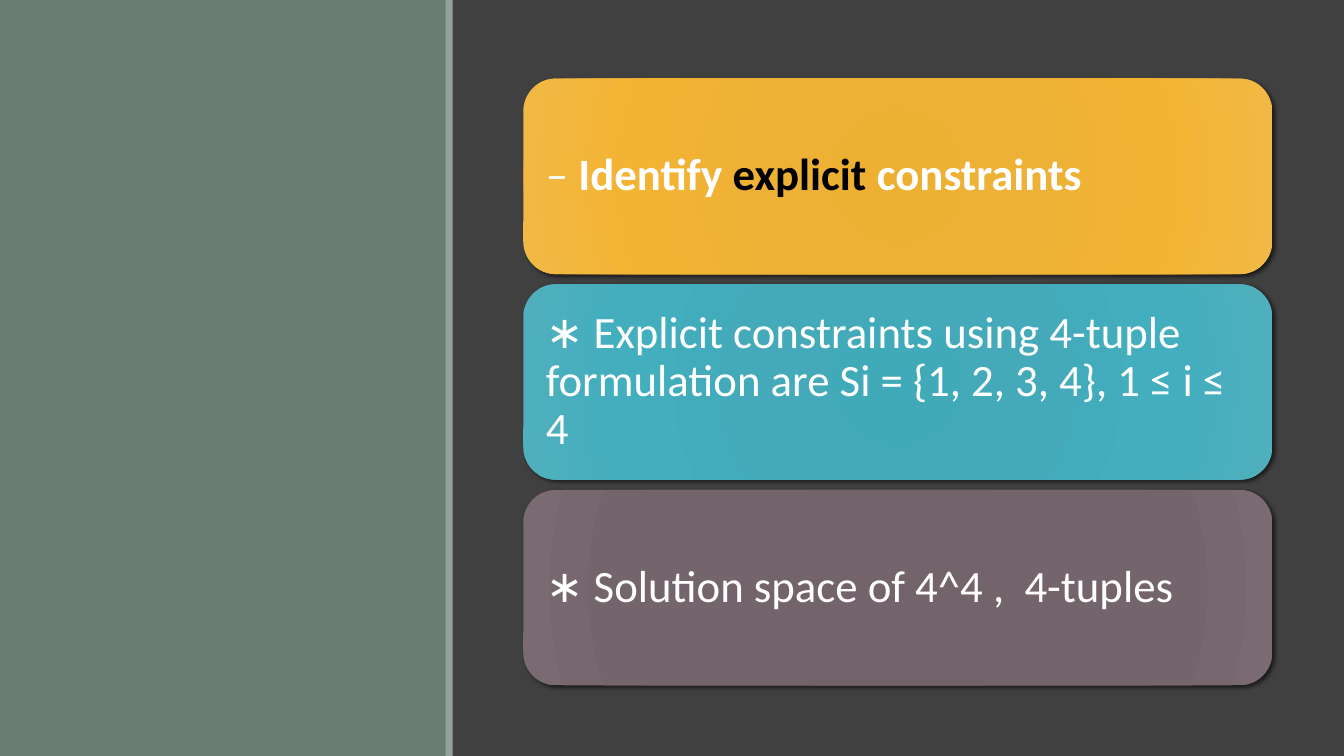
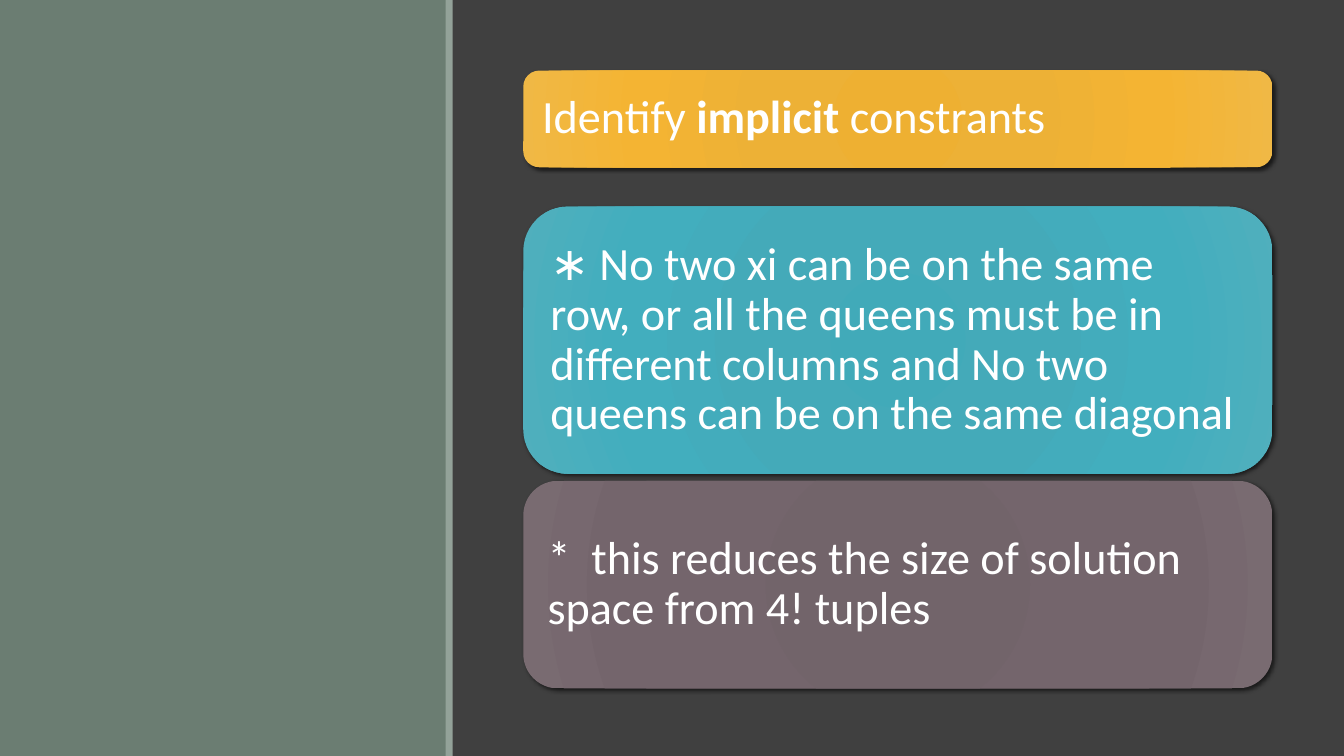
from pptx import Presentation
from pptx.dml.color import RGBColor
from pptx.enum.shapes import MSO_SHAPE
from pptx.enum.text import MSO_ANCHOR, PP_ALIGN
from pptx.oxml import parse_xml
from pptx.oxml.ns import nsdecls, qn
from pptx.util import Inches, Pt

RECT, ROUNDED = MSO_SHAPE.RECTANGLE, MSO_SHAPE.ROUNDED_RECTANGLE
MIDDLE, LEFT = MSO_ANCHOR.MIDDLE, PP_ALIGN.LEFT

# Shared look
SLIDE_W, SLIDE_H = 13.33, 7.5
BACKDROP, PANEL, STRIPE = "404040", "6B7D72", "93A299"
WHITE, BLACK = "FFFFFF", "000000"
FONT = "Calibri"
PANEL_W, STRIPE_X, STRIPE_W = 4.43, 4.42, 0.07
CARD_X, CARD_W = 5.19, 7.43
STOPS = (0, 34, 70, 100)
CARD_GRADIENTS = (
    ("EEB032", "EDB136", "F4B433", "F0B845"),
    ("41AAB9", "44AAB9", "42AEBE", "50AFBD"),
    ("716369", "72646A", "74656C", "796B71"),
)

# Content: each card is (top, height, runs); a run is (text, bold, colour)
SLIDES = [
    {"size": 32, "inset": 0.13, "cards": [
        (0.78, 1.94, [("– ", False, WHITE), ("Identify ", True, WHITE),
                      ("explicit ", True, BLACK), ("constraints", True, WHITE)]),
        (2.82, 1.94, [("∗ Explicit constraints using 4-tuple formulation are "
                       "Si = {1, 2, 3, 4}, 1 ≤ i ≤ 4", False, WHITE)]),
        (4.86, 1.94, [("∗ Solution space of 4^4 ,  4-tuples", False, WHITE)]),
    ]},
    {"size": 33, "inset": 0.14, "cards": [
        (0.70, 0.96, [("Identify ", False, WHITE), ("implicit ", True, WHITE),
                      ("constrants", False, WHITE)]),
        (2.05, 2.65, [("∗ No two xi can be on the same  row, or all the queens "
                       "must be in different columns and No two queens can be "
                       "on the same diagonal", False, WHITE)]),
        (4.77, 2.06, [("*  this reduces the size of solution space from "
                       "4! tuples", False, WHITE)]),
    ]},
]


def rgb(code):
    return RGBColor.from_string(code)


def add_block(slide, kind, x, y, w, h):
    block = slide.shapes.add_shape(kind, Inches(x), Inches(y), Inches(w), Inches(h))
    block.line.fill.background()
    block.shadow.inherit = False
    return block


def add_band(slide, x, w, colour):
    band = add_block(slide, RECT, x, 0, w, SLIDE_H)
    band.fill.solid()
    band.fill.fore_color.rgb = rgb(colour)


def style_card(card, colours):
    """Radial gradient and soft drop shadow."""
    stops = "".join(
        f'<a:gs pos="{pos * 1000}"><a:srgbClr val="{colour}"/></a:gs>'
        for pos, colour in zip(STOPS, colours))
    properties = card._element.spPr
    properties.find(qn("a:prstGeom")).addnext(parse_xml(
        f'<a:gradFill {nsdecls("a")} rotWithShape="1"><a:gsLst>{stops}</a:gsLst>'
        '<a:path path="circle"><a:fillToRect l="100000" t="100000" '
        'r="100000" b="100000"/></a:path></a:gradFill>'))
    properties.find(qn("a:effectLst")).append(parse_xml(
        f'<a:outerShdw {nsdecls("a")} blurRad="{Pt(3)}" dist="{Pt(2)}" '
        'dir="2700000" algn="br" rotWithShape="0"><a:srgbClr val="000000">'
        '<a:alpha val="60000"/></a:srgbClr></a:outerShdw>'))


def write_card(card, runs, size, inset):
    frame = card.text_frame
    frame.word_wrap = True
    frame.vertical_anchor = MIDDLE
    frame.margin_left = frame.margin_right = Inches(inset)
    frame.margin_top = frame.margin_bottom = Inches(inset)
    line = frame.paragraphs[0]
    line.alignment = LEFT
    line.line_spacing = 0.9
    line.font.name = FONT
    line.font.size = Pt(size)
    for text, bold, colour in runs:
        run = line.add_run()
        run.text = text
        run.font.bold = bold
        run.font.color.rgb = rgb(colour)


def main():
    deck = Presentation()
    deck.slide_width, deck.slide_height = Inches(SLIDE_W), Inches(SLIDE_H)
    backdrop = deck.slide_master.background.fill
    backdrop.solid()
    backdrop.fore_color.rgb = rgb(BACKDROP)
    blank = deck.slide_layouts.get_by_name("Blank")

    for content in SLIDES:
        slide = deck.slides.add_slide(blank)
        add_band(slide, 0, PANEL_W, PANEL)
        add_band(slide, STRIPE_X, STRIPE_W, STRIPE)
        for (top, height, runs), colours in zip(content["cards"], CARD_GRADIENTS):
            card = add_block(slide, ROUNDED, CARD_X, top, CARD_W, height)
            style_card(card, colours)
            write_card(card, runs, content["size"], content["inset"])

    deck.save("out.pptx")


if __name__ == "__main__":
    main()
